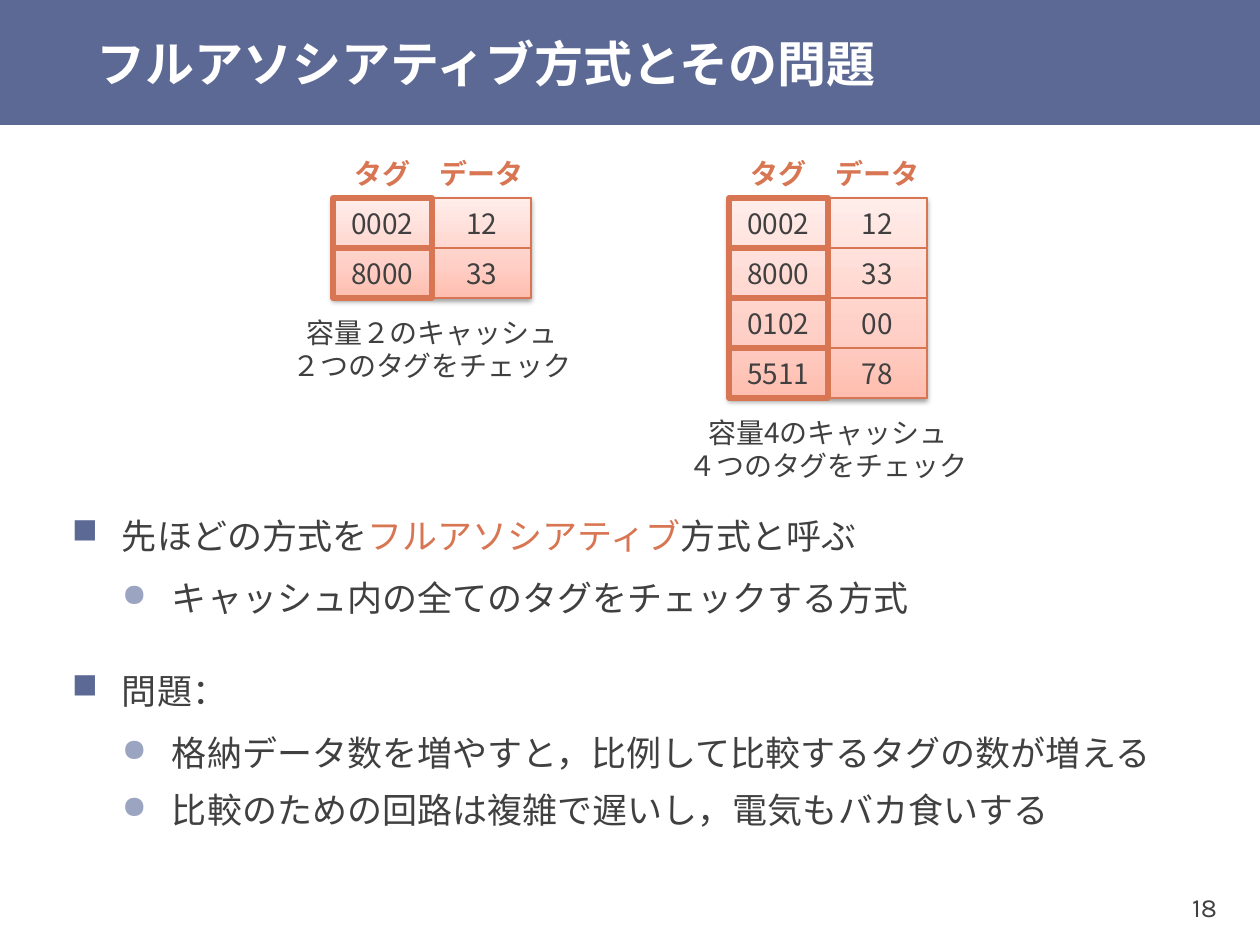
"""Build the slide on the fully associative cache method and its problem."""
from copy import deepcopy
from dataclasses import dataclass

from lxml.etree import SubElement
from pptx import Presentation
from pptx.dml.color import RGBColor
from pptx.enum.shapes import MSO_SHAPE
from pptx.enum.text import MSO_ANCHOR, MSO_AUTO_SIZE, PP_ALIGN
from pptx.oxml.ns import qn
from pptx.util import Emu, Pt


@dataclass(frozen=True)
class Theme:
    banner: str = "5C6994"
    title: str = "FFFFFF"
    text: str = "404040"
    accent: str = "D87552"
    panel_line: str = "D7714D"
    shadow: str = "000000"
    sub_bullet: str = "9BA4C1"
    gradient: tuple = ((0, "FFBEB0"), (0.35, "FFD0C7"), (1, "FFEDEA"))
    font: str = "Karla"
    cell_font: str = "Noto Sans CJK JP"
    bullet_font: str = "OpenSymbol"
    title_size: int = 28
    body_size: int = 20
    cell_size: int = 16
    number_size: int = 15
    thin: float = 0.75
    thick: float = 3


THEME = Theme()

TITLE = "フルアソシアティブ方式とその問題"
PAGE_NUMBER = "18"
HEADINGS = ("タグ", "データ")
CACHES = [
    {"left": 333, "rows": [("0002", "12"), ("8000", "33")],
     "caption": ["容量２のキャッシュ\v２つのタグをチェック"]},
    {"left": 729, "rows": [("0002", "12"), ("8000", "33"), ("0102", "00"), ("5511", "78")],
     "caption": ["容量4のキャッシュ", "４つのタグをチェック"]},
]
POINTS = [
    (0, [("先ほどの方式を", THEME.text), ("フルアソシアティブ", THEME.accent),
         ("方式と呼ぶ", THEME.text)]),
    (1, "キャッシュ内の全てのタグをチェックする方式"),
    (0, "問題："),
    (1, "格納データ数を増やすと，比例して比較するタグの数が増える"),
    (1, "比較のための回路は複雑で遅いし，電気もバカ食いする"),
]
LEVELS = [
    {"mark": "■", "color": THEME.banner, "scale": 100, "before": 24, "after": 6},
    {"mark": "●", "color": THEME.sub_bullet, "scale": 90, "before": 3, "after": 3},
]

GRID_TOP, CELL_WIDTH, CELL_HEIGHT = 198, 99, 50
CAPTION_GAP = 26
INDENT = 50


def px(length):
    return Emu(round(length * 914400 / 126))


def rgb(color):
    return RGBColor.from_string(color)


def place(shape, left, top, width, height):
    shape.left, shape.top, shape.width, shape.height = map(px, (left, top, width, height))


def write(frame, paragraphs, *, size, font=THEME.font, color=THEME.text, bold=False,
          align=PP_ALIGN.LEFT, wrap=False, margins=(13, 6)):
    """Fill a frame with paragraphs, each a string or a list of (text, color) runs."""
    frame.auto_size = MSO_AUTO_SIZE.NONE
    frame.word_wrap = wrap
    frame.vertical_anchor = MSO_ANCHOR.MIDDLE
    frame.margin_left = frame.margin_right = px(margins[0])
    frame.margin_top = frame.margin_bottom = px(margins[1])
    for index, content in enumerate(paragraphs):
        paragraph = frame.paragraphs[0] if index == 0 else frame.add_paragraph()
        paragraph.alignment = align
        if isinstance(content, str):
            paragraph.text = content
            colors = [color] * len(paragraph.runs)
        else:
            colors = [run_color for _, run_color in content]
            for words, _ in content:
                paragraph.add_run().text = words
        for run, run_color in zip(paragraph.runs, colors):
            run.font.size = Pt(size)
            run.font.bold = bold
            run.font.name = font
            run.font.color.rgb = rgb(run_color)
            SubElement(run.font._element, qn("a:ea"), typeface=THEME.font)


def add_box(slide, left, top, width, height, *, fill=None, line=None, weight=THEME.thin):
    box = slide.shapes.add_shape(MSO_SHAPE.RECTANGLE, *map(px, (left, top, width, height)))
    box.shadow.inherit = False
    if fill:
        box.fill.solid()
        box.fill.fore_color.rgb = rgb(fill)
    else:
        box.fill.background()
    if line:
        box.line.color.rgb = rgb(line)
        box.line.width = Pt(weight)
    else:
        box.line.fill.background()
    return box


def add_label(slide, left, top, paragraphs, **style):
    label = slide.shapes.add_textbox(*map(px, (left, top, CELL_WIDTH, CELL_HEIGHT)))
    write(label.text_frame, paragraphs, size=THEME.cell_size, font=THEME.cell_font,
          align=PP_ALIGN.CENTER, **style)


def add_panel(slide, left, top, width, height):
    panel = add_box(slide, left, top, width, height, line=THEME.panel_line)
    panel.fill.gradient()
    panel.fill.gradient_angle = 90
    first_stop = panel.element.find(".//" + qn("a:gs"))
    first_stop.addnext(deepcopy(first_stop))
    for stop, (position, color) in zip(panel.fill.gradient_stops, THEME.gradient):
        stop.position = position
        stop.color.rgb = rgb(color)
    effects = panel.element.spPr.find(qn("a:effectLst"))
    shadow = SubElement(effects, qn("a:outerShdw"), blurRad=str(Pt(3.1)),
                        dist=str(Pt(1.6)), dir="5400000", rotWithShape="0")
    shade = SubElement(shadow, qn("a:srgbClr"), val=THEME.shadow)
    SubElement(shade, qn("a:alpha"), val="38000")


def add_cache(slide, left, rows, caption):
    grid_height = len(rows) * CELL_HEIGHT
    add_panel(slide, left, GRID_TOP, 2 * CELL_WIDTH, grid_height)
    for column, heading in reversed(list(enumerate(HEADINGS))):
        x = left + column * CELL_WIDTH
        add_label(slide, x, GRID_TOP - CELL_HEIGHT, [heading], color=THEME.accent, bold=True)
        for row, values in enumerate(rows):
            cell = add_box(slide, x, GRID_TOP + row * CELL_HEIGHT, CELL_WIDTH, CELL_HEIGHT,
                           line=THEME.accent, weight=THEME.thin if column else THEME.thick)
            write(cell.text_frame, [values[column]], size=THEME.cell_size,
                  font=THEME.cell_font, align=PP_ALIGN.CENTER)
    add_label(slide, left + CELL_WIDTH / 2, GRID_TOP + grid_height + CAPTION_GAP, caption)


def format_point(paragraph, level, first):
    style = LEVELS[level]
    paragraph.level = level
    paragraph.line_spacing = 1.1
    paragraph.space_before = Pt(0 if first else style["before"])
    paragraph.space_after = Pt(style["after"])
    properties = paragraph._p.get_or_add_pPr()
    properties.set("marL", str(px(INDENT * (level + 1))))
    properties.set("indent", str(px(-INDENT)))
    tint = SubElement(properties, qn("a:buClr"))
    SubElement(tint, qn("a:srgbClr"), val=style["color"])
    SubElement(properties, qn("a:buSzPct"), val=str(style["scale"] * 1000))
    SubElement(properties, qn("a:buFont"), typeface=THEME.bullet_font)
    SubElement(properties, qn("a:buChar"), char=style["mark"])


def main():
    deck = Presentation()
    deck.slide_width, deck.slide_height = px(1260), px(945)
    slide = deck.slides.add_slide(deck.slide_layouts[1])
    title, body = slide.placeholders

    banner = add_box(slide, 0, 0, 1260, 125, fill=THEME.banner)
    title.element.addprevious(banner.element)
    place(title, 84, 0, 1176, 125)
    write(title.text_frame, [TITLE], size=THEME.title_size, color=THEME.title, bold=True,
          wrap=True, margins=(13, 0))

    place(body, 59, 447, 1116, 446)
    write(body.text_frame, [words for _, words in POINTS], size=THEME.body_size, wrap=True)
    for index, (paragraph, (level, _)) in enumerate(zip(body.text_frame.paragraphs, POINTS)):
        format_point(paragraph, level, index == 0)

    for cache in CACHES:
        add_cache(slide, **cache)

    page_number = slide.shapes.add_textbox(*map(px, (1126, 870, 100, 75)))
    write(page_number.text_frame, [PAGE_NUMBER], size=THEME.number_size,
          align=PP_ALIGN.RIGHT, margins=(9, 5))
    deck.save("out.pptx")


if __name__ == "__main__":
    main()
